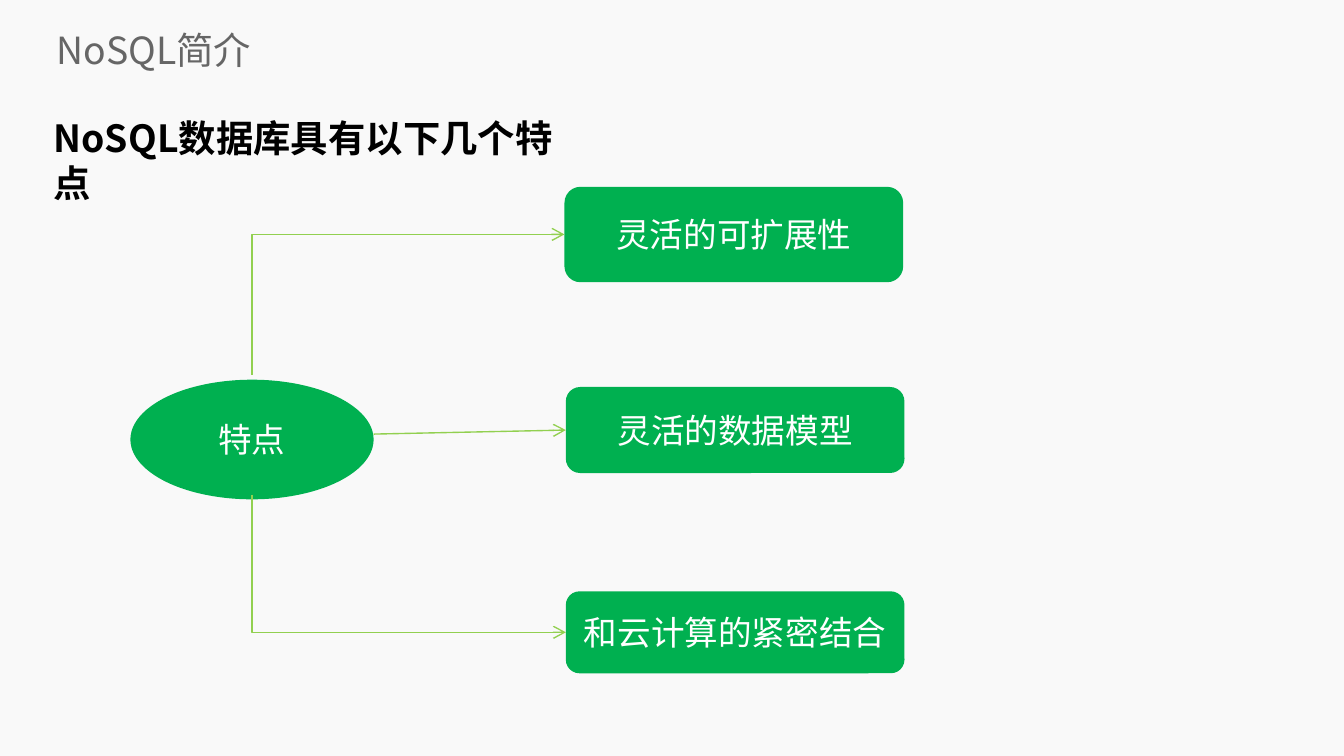
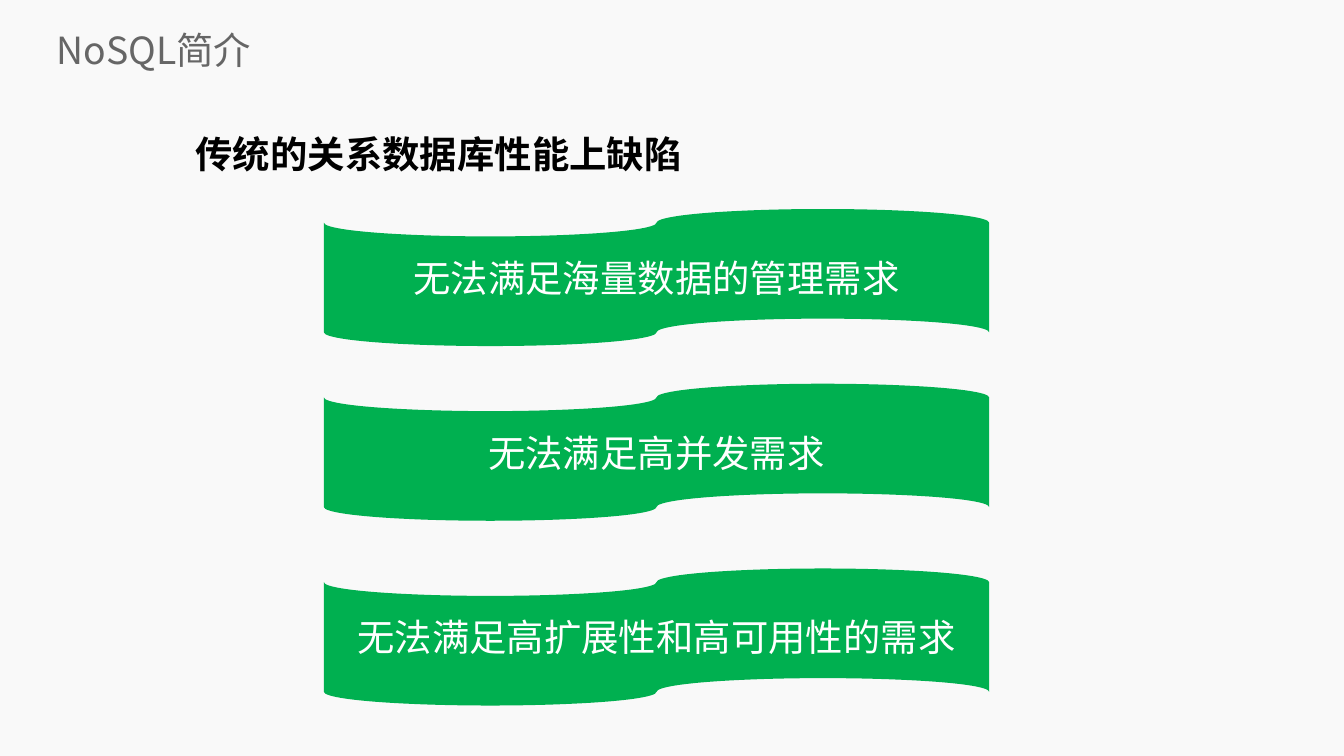
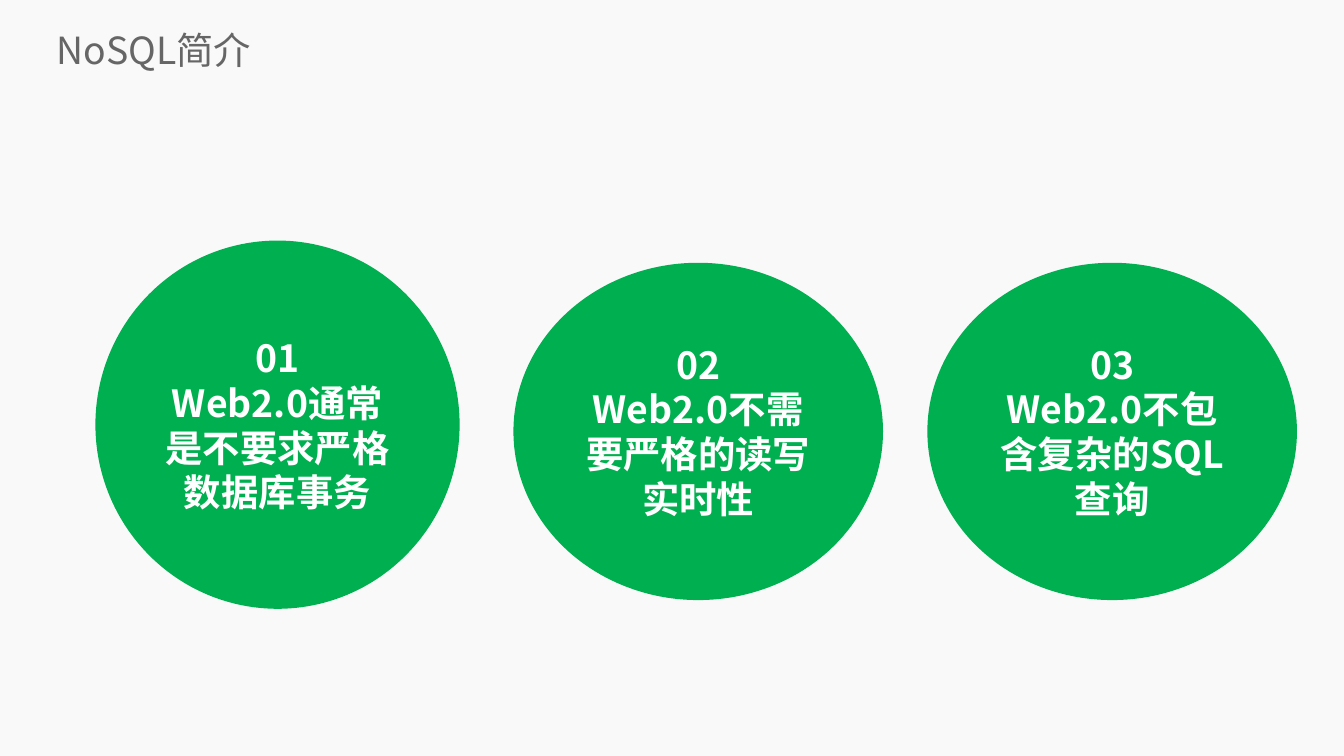
from dataclasses import dataclass

from lxml.etree import SubElement as Sub
from pptx import Presentation
from pptx.dml.color import RGBColor as Rgb
from pptx.enum.shapes import MSO_CONNECTOR as Link, MSO_SHAPE as Form
from pptx.enum.text import MSO_ANCHOR as Anchor, PP_ALIGN as Align
from pptx.oxml.ns import qn
from pptx.util import Inches, Pt


@dataclass(frozen=True)
class Theme:
    font: str = "Noto Sans CJK SC"
    back: str = "F9F9F9"
    head: str = "666666"
    ink: str = "000000"
    pale: str = "FFFFFF"
    fill: str = "00B050"
    line: str = "92D050"
    big: int = 20
    mid: int = 18
    thin: float = 0.75


THEME = Theme()
COLS, ROWS = 100, 56.25  # square grid, ten cells to the inch


def cell(num):
    return Inches(num / 10)


def write(frame, text, size=THEME.big, color=THEME.ink, bold=False,
          align=Align.LEFT, anchor=Anchor.TOP, gap=None, inset=None):
    """Fill a text frame, one paragraph for each line of text."""
    frame.word_wrap = True
    frame.vertical_anchor = anchor
    if inset is not None:
        frame.margin_left = frame.margin_right = inset
        frame.margin_top = frame.margin_bottom = inset
    for at, part in enumerate(text.split("\n")):
        para = frame.add_paragraph() if at else frame.paragraphs[0]
        para.alignment = align
        if gap:
            para.line_spacing = gap
        run = para.add_run()
        run.text = part
        font = run.font
        font.name, font.size, font.bold = THEME.font, Pt(size), bold
        font.color.rgb = Rgb.from_string(color)
        Sub(run._r.rPr, qn("a:ea"), typeface=THEME.font)


class Deck:
    def __init__(self, theme):
        self.theme = theme
        self.file = Presentation()
        self.file.slide_width = cell(COLS)
        self.file.slide_height = cell(ROWS)
        self.slide = None

    def page(self, title):
        """Start a slide with the shared background and title."""
        self.slide = self.file.slides.add_slide(self.file.slide_layouts[6])
        back = self.slide.background.fill
        back.solid()
        back.fore_color.rgb = Rgb.from_string(self.theme.back)
        self.text(title, 4.2, 1.8, 94.3, 3.8, color=self.theme.head,
                  anchor=Anchor.MIDDLE, inset=0)

    def text(self, text, *box, **form):
        frame = self.slide.shapes.add_textbox(*map(cell, box)).text_frame
        write(frame, text, **form)

    def node(self, kind, text, *box, **form):
        """Draw a filled shape with centred text."""
        shape = self.slide.shapes.add_shape(kind, *map(cell, box))
        shape.shadow.inherit = False
        shape.fill.solid()
        shape.fill.fore_color.rgb = Rgb.from_string(self.theme.fill)
        shape.line.fill.background()
        write(shape.text_frame, text, color=self.theme.pale,
              align=Align.CENTER, anchor=Anchor.MIDDLE, **form)
        return shape

    def link(self, kind, *ends):
        """Draw a thin line with an open arrowhead at its end."""
        wire = self.slide.shapes.add_connector(kind, *map(cell, ends))
        wire.line.color.rgb = Rgb.from_string(self.theme.line)
        wire.line.width = Pt(self.theme.thin)
        Sub(wire.line._get_or_add_ln(), qn("a:tailEnd"), type="arrow")
        Sub(wire._element.spPr, qn("a:effectLst"))
        return wire

    def bend(self, x1, y1, x2, y2):
        """Draw an arrow that runs up or down first, then to the right."""
        wide, high = abs(y2 - y1), x2 - x1
        left, top = (x1 + x2 - wide) / 2, (y1 + y2 - high) / 2
        wire = self.link(Link.ELBOW, left, top, left + wide, top + high)
        props = wire._element.spPr
        props.find(qn("a:prstGeom")).set("prst", "bentConnector2")
        rise = y2 < y1
        turn = props.find(qn("a:xfrm"))
        turn.set("rot", str((90 if rise else 270) * 60000))
        turn.set("flipH", "1")
        turn.set("flipV", "1" if rise else "0")


def traits(deck):
    deck.page("NoSQL简介")
    size = deck.theme.mid
    deck.node(Form.OVAL, "特点", 9.7, 28.25, 18.1, 8.9, size=size)
    boxes = [
        deck.node(Form.ROUNDED_RECTANGLE, text, left, top, 25.2, high, size=size)
        for text, left, top, high in (
            ("灵活的可扩展性", 42, 13.9, 7.1),
            ("灵活的数据模型", 42.1, 28.8, 6.4),
            ("和云计算的紧密结合", 42.1, 44, 6.1),
        )
    ]
    # Arrows from the hub
    deck.bend(18.75, 27.9, 42, 17.45)
    deck.link(Link.STRAIGHT, 27.8, 32.3, 42.1, 32).end_connect(boxes[1], 1)
    deck.bend(18.75, 36.8, 42.1, 47.05)
    deck.text("NoSQL数据库具有以下几个特点", 3, 8.1, 39.9, 4.4, bold=True)


def limits(deck):
    deck.page("NoSQL简介")
    deck.text("传统的关系数据库性能上缺陷", 14.55, 8.4, 74.9, 37.7,
              bold=True, gap=1.4, inset=0)
    # Stack of tapes
    for text, top in (("无法满足海量数据的管理需求", 15.55),
                      ("无法满足高并发需求", 28.55),
                      ("无法满足高扩展性和高可用性的需求", 42.3)):
        deck.node(Form.FLOWCHART_PUNCHED_TAPE, text, 24.1, top, 49.5, 10.2)


def needs(deck):
    deck.page("NoSQL简介")
    # Numbered discs
    discs = (("Web2.0通常是不要求严格数据库事务", 7.1, 17.9, 27.1, 27.4),
             ("Web2.0不需要严格的读写实时性", 38.2, 19.55, 27.5, 25.1),
             ("Web2.0不包含复杂的SQL查询", 69, 19.55, 27.5, 25.1))
    for num, (text, *box) in enumerate(discs, 1):
        deck.node(Form.OVAL, f"{num:02}\n{text}", *box, bold=True)


def main():
    deck = Deck(THEME)
    for draw in (traits, limits, needs):
        draw(deck)
    deck.file.save("out.pptx")


if __name__ == "__main__":
    main()
